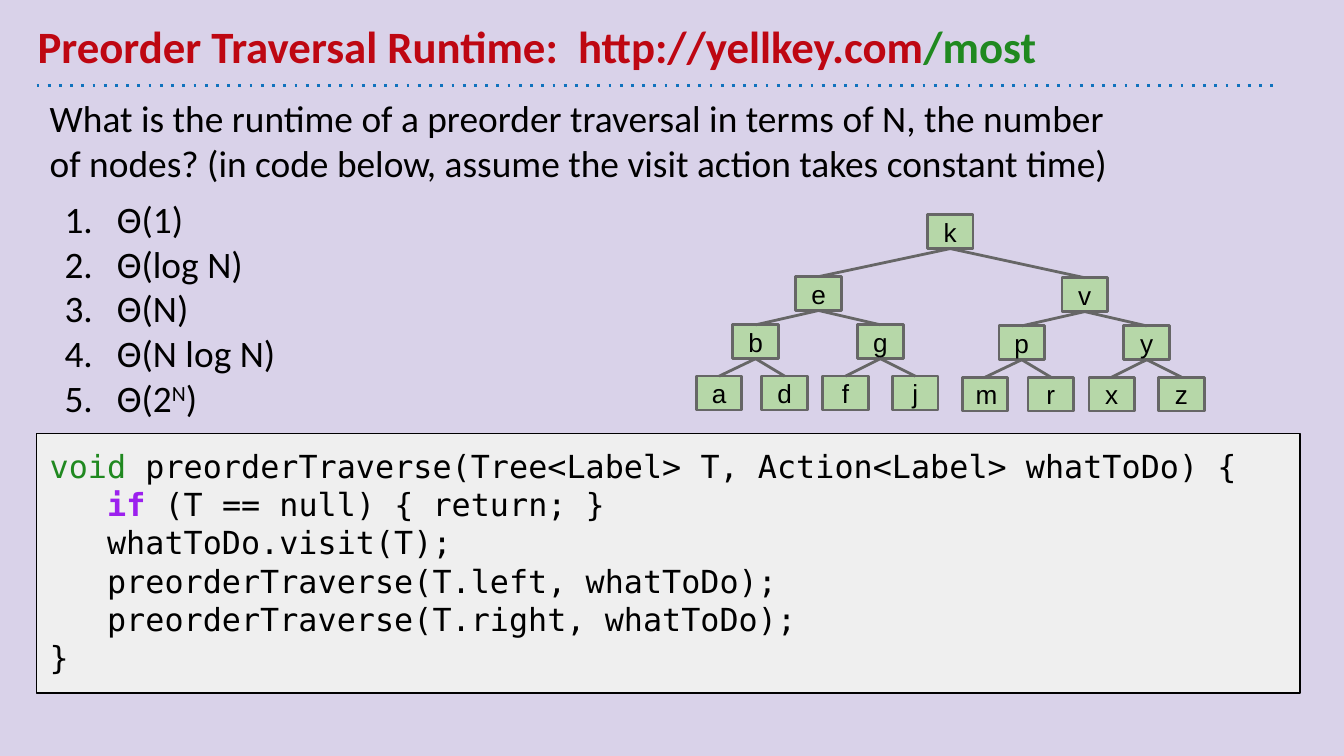
from lxml.etree import SubElement as Sub
from pptx import Presentation
from pptx.dml.color import RGBColor as Rgb
from pptx.enum.dml import MSO_LINE as Dash
from pptx.enum.shapes import MSO_CONNECTOR as Link, MSO_SHAPE as Form
from pptx.enum.text import MSO_ANCHOR as Anchor, PP_ALIGN as Align
from pptx.oxml.ns import qn
from pptx.util import Cm, Pt

LILAC = Rgb(0xD9, 0xD2, 0xE9)
BLUE = Rgb(0x10, 0x72, 0xBD)
RED = Rgb(0xBE, 0x07, 0x12)
GREEN = Rgb(0x20, 0x89, 0x20)
PURPLE = Rgb(0x9C, 0x20, 0xEE)
BLACK = Rgb(0, 0, 0)
LEAF = Rgb(0xB6, 0xD7, 0xA8)
GRAY = Rgb(0x66, 0x66, 0x66)
PALE = Rgb(0xEF, 0xEF, 0xEF)

HEAD = dict(name="Calibri", size=Pt(24), bold=True, color=RED)
BODY = dict(name="Calibri", size=Pt(20), color=BLACK)
NODE = dict(name="Arial", size=Pt(14), color=BLACK)
CODE = dict(name="DejaVu Sans Mono", size=Pt(17), color=BLACK)
PAD = Cm(0.25)
FRAME = dict(word_wrap=True, margin_left=PAD, margin_right=PAD,
             margin_top=PAD, margin_bottom=PAD)

NODE_W, NODE_H = 0.86, 0.64
# Left and top of each node in a half tree, in heap order
SPOTS = [(1.88, 0), (0.69, 0.91), (3.05, 0.91),
         (0, 1.88), (1.24, 1.88), (2.39, 1.88), (3.71, 1.88)]


def style(obj, vals):
    for key, val in vals.items():
        if key == "color":
            obj.color.rgb = val
        else:
            setattr(obj, key, val)


def write(par, runs, look):
    """Add runs, each one a text and its changes to the look."""
    for text, diff in runs:
        run = par.add_run()
        run.text = text
        style(run.font, {**look, **diff})


def text_box(shapes, box, **vals):
    frame = shapes.add_textbox(*map(Cm, box)).text_frame
    style(frame, {**FRAME, **vals})
    return frame


def panel(shapes, box, fill, edge, width, **vals):
    rect = shapes.add_shape(Form.RECTANGLE, *map(Cm, box))
    rect.shadow.inherit = False
    rect.fill.solid()
    rect.fill.fore_color.rgb = fill
    style(rect.line, dict(color=edge, width=Pt(width)))
    style(rect.text_frame, {**FRAME, **vals})
    return rect


def rule(shapes, ends, color, dash=None):
    line = shapes.add_connector(Link.STRAIGHT, *ends)
    style(line.line, dict(color=color, width=Pt(1.5), dash_style=dash))
    props = line._element.spPr
    Sub(props, qn("a:effectLst"))
    return line


def title(shapes, box):
    x, y, w, h = box
    # Dotted rule under the heading
    line = rule(shapes, map(Cm, (x + 0.23, y + h, x + 23.67, y + h)),
                BLUE, Dash.ROUND_DOT)
    line._element.spPr.find(".//" + qn("a:prstDash")).set("val", "dot")
    frame = text_box(shapes, box, vertical_anchor=Anchor.BOTTOM)
    write(frame.paragraphs[0],
          [("Preorder Traversal Runtime:  http://yellkey.com", {}),
           ("/most", dict(color=GREEN))], HEAD)


def question(shapes, box):
    # The wide right margin wraps the question after "number"
    frame = text_box(shapes, box, margin_right=Cm(3.86))
    ask = ("What is the runtime of a preorder traversal in terms of N, "
           "the number of nodes? (in code below, assume the visit action "
           "takes constant time)")
    write(frame.paragraphs[0], [(ask, {})], BODY)

    # Numbered answers; a second part is raised
    answers = [["Θ(1)"], ["Θ(log N)"], ["Θ(N)"], ["Θ(N log N)"],
               ["Θ(2", "N", ")"]]
    for i, parts in enumerate(answers):
        par = frame.add_paragraph()
        props = par._p.get_or_add_pPr()
        props.set("marL", str(Cm(1.27)))
        props.set("indent", str(Cm(-0.99)))
        Sub(props, qn("a:buFont"), typeface="Calibri")
        Sub(props, qn("a:buAutoNum"), type="arabicPeriod")
        par.space_before = Pt(0 if i else 6)
        write(par, [(part, {}) for part in parts], BODY)
        for run in par.runs[1:2]:
            run._r.get_or_add_rPr().set("baseline", "30000")


def tree(shapes, box):
    x, y = box[:2]
    group = shapes.add_group_shape().shapes

    def node(text, left, top):
        rect = panel(group, (x + left, y + top, NODE_W, NODE_H), LEAF, GRAY,
                     1.5, vertical_anchor=Anchor.MIDDLE)
        par = rect.text_frame.paragraphs[0]
        par.alignment = Align.CENTER
        write(par, [(text, {})], NODE)
        return rect

    def edge(top, low):
        ends = (top.left + top.width // 2, top.top + top.height,
                low.left + low.width // 2, low.top)
        line = rule(group, ends, GRAY)
        line.begin_connect(top, 2)
        line.end_connect(low, 0)

    def half(names, left, top):
        nodes = [node(name, left + dx, top + dy)
                 for name, (dx, dy) in zip(names, SPOTS)]
        for i in range(1, len(nodes)):
            edge(nodes[(i - 1) // 2], nodes[i])
        return nodes[0]

    tops = [half("ebgadfj", 0, 1.17), half("vpymrxz", 5.03, 1.19)]
    root = node("k", 4.37, 0)
    for top in tops:
        edge(root, top)


def code(shapes, box):
    rect = panel(shapes, box, PALE, BLACK, 0.75, vertical_anchor=Anchor.TOP)
    lines = [
        [("void", dict(color=GREEN)),
         (" preorderTraverse(Tree<Label> T, Action<Label> whatToDo) {", {})],
        [("   ", {}), ("if", dict(color=PURPLE, bold=True)),
         (" (T == null) { return; }", {})],
        [("   whatToDo.visit(T);", {})],
        [("   preorderTraverse(T.left, whatToDo);", {})],
        [("   preorderTraverse(T.right, whatToDo);", {})],
        [("}", {})],
    ]
    frame = rect.text_frame
    for i, runs in enumerate(lines):
        par = frame.add_paragraph() if i else frame.paragraphs[0]
        par.alignment = Align.LEFT
        write(par, runs, CODE)


def main():
    deck = Presentation()
    style(deck, dict(slide_width=Cm(25.4), slide_height=Cm(14.29)))
    slide = deck.slides.add_slide(deck.slide_layouts[6])
    back = slide.background.fill
    back.solid()
    back.fore_color.rgb = LILAC

    shapes = slide.shapes
    title(shapes, (0.46, 0.25, 22.86, 1.37))
    question(shapes, (0.69, 1.55, 24.33, 11.53))
    tree(shapes, (13.16, 4.06, 9.6, 3.71))
    code(shapes, (0.69, 8.2, 23.88, 4.9))
    deck.save("out.pptx")


if __name__ == "__main__":
    main()
